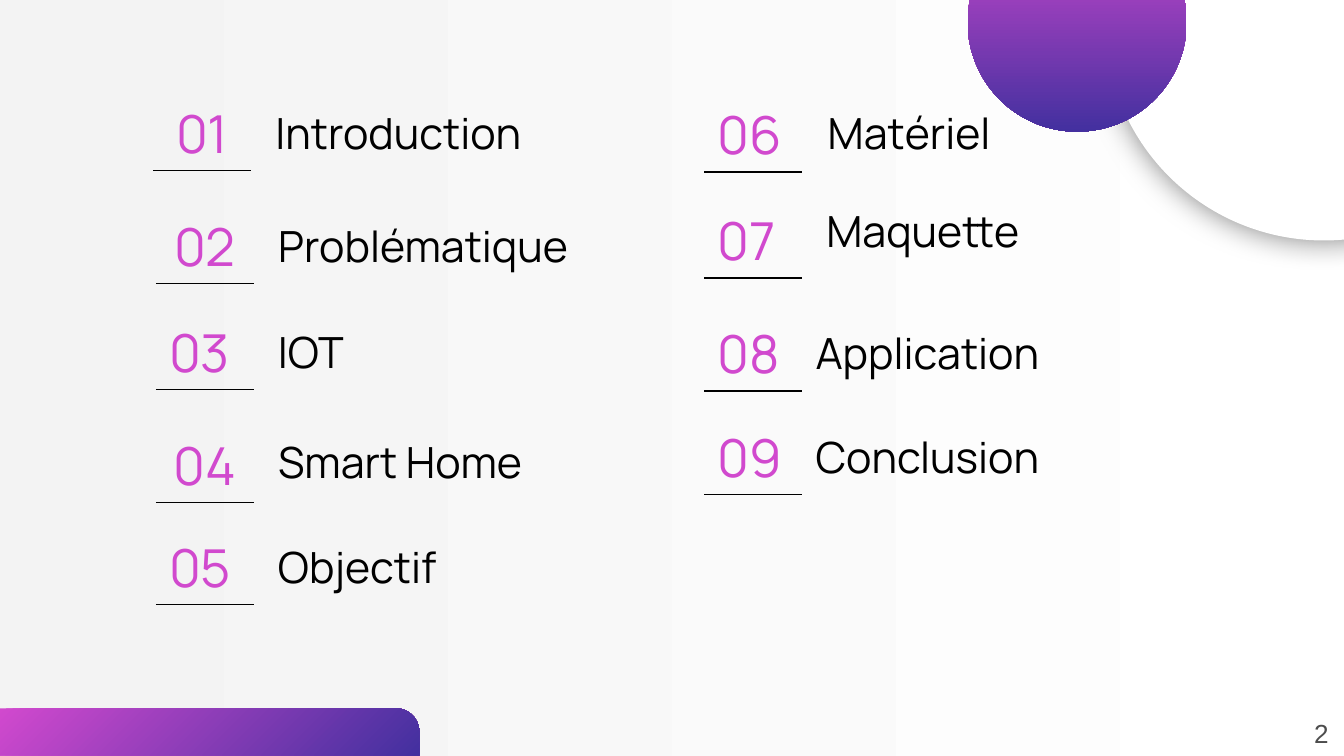
from dataclasses import dataclass

from lxml.etree import SubElement
from pptx import Presentation
from pptx.dml.color import RGBColor
from pptx.enum.shapes import MSO_CONNECTOR, MSO_SHAPE
from pptx.enum.text import MSO_ANCHOR, MSO_AUTO_SIZE, PP_ALIGN
from pptx.oxml.ns import qn
from pptx.util import Inches, Pt

PINK, VIOLET, BLACK, WHITE = "D149CE", "43309F", "000000", "FFFFFF"
NUMBER_WIDTH, ROW_HEIGHT, RULE_DROP = 0.73, 0.39, 0.48
NUMBER_FONT = {"name": "Manrope", "size": Pt(28)}
LABEL_FONT = {"name": "Manrope", "size": Pt(23)}
PAGE_FONT = {"name": "Arial", "size": Pt(14)}
FRAME = {
    "word_wrap": True,
    "auto_size": MSO_AUTO_SIZE.NONE,
    "vertical_anchor": MSO_ANCHOR.MIDDLE,
    "margin_left": Inches(0.1),
    "margin_right": Inches(0.1),
    "margin_top": Inches(0.1),
    "margin_bottom": Inches(0.1),
}
PAGE_FRAME = FRAME | {
    "vertical_anchor": MSO_ANCHOR.TOP,
    "margin_top": Inches(0.05),
    "margin_bottom": Inches(0.05),
}


@dataclass
class Entry:
    number: str
    label: str
    x: float
    y: float
    label_x: float
    label_y: float
    label_width: float
    align: PP_ALIGN = PP_ALIGN.LEFT
    is_title: bool = False


ENTRIES = [
    Entry("01", "Introduction", 1.14, 0.79, 1.95, 0.79, 2.89, PP_ALIGN.CENTER),
    Entry("02", "Problématique", 1.16, 1.63, 1.97, 1.63, 2.89, PP_ALIGN.CENTER, True),
    Entry("03", "IOT", 1.16, 2.42, 1.97, 2.42, 0.93),
    Entry("04", "Smart Home", 1.16, 3.26, 1.97, 3.24, 2.41, PP_ALIGN.CENTER),
    Entry("05", "Objectif", 1.16, 4.02, 1.97, 4.02, 1.63),
    Entry("06", "Matériel", 5.24, 0.8, 6.06, 0.79, 2.01),
    Entry("07", "Maquette", 5.24, 1.59, 6.05, 1.52, 2.01),
    Entry("08", "Application", 5.24, 2.43, 5.97, 2.43, 2.34),
    Entry("09", "Conclusion", 5.24, 3.2, 5.97, 3.2, 2.34),
]


def rgb(value: str) -> RGBColor:
    return RGBColor.from_string(value)


def apply(target, values: dict) -> None:
    for name, value in values.items():
        setattr(target, name, value)


def fill_gradient(fill, start: str, end: str, angle: float) -> None:
    fill.gradient()
    fill.gradient_angle = angle
    for stop, color, position in zip(fill.gradient_stops, (start, end), (0, 1)):
        stop.color.rgb = rgb(color)
        stop.position = position


def write(sp, text: str, font: dict, color: str, frame: dict = FRAME,
          align: PP_ALIGN = PP_ALIGN.LEFT) -> None:
    tf = sp.text_frame
    apply(tf, frame)
    p = tf.paragraphs[0]
    p.alignment = align
    r = p.add_run()
    r.text = text
    apply(r.font, font)
    r.font.color.rgb = rgb(color)


def add_shape(s, kind: MSO_SHAPE, x: float, y: float, width: float, height: float):
    sp = s.shapes.add_shape(kind, Inches(x), Inches(y), Inches(width), Inches(height))
    sp.shadow.inherit = False
    sp.line.fill.background()
    return sp


def add_glow_shadow(sp, blur: float, opacity: int) -> None:
    effects = sp._element.spPr.find(qn("a:effectLst"))
    shadow = SubElement(effects, qn("a:outerShdw"), blurRad=str(Pt(blur)), dist="0", dir="0",
                        algn="ctr", rotWithShape="0")
    color = SubElement(shadow, qn("a:srgbClr"), val=BLACK)
    SubElement(color, qn("a:alpha"), val=str(opacity * 1000))


def add_text(s, x: float, y: float, width: float, height: float = ROW_HEIGHT):
    return s.shapes.add_textbox(Inches(x), Inches(y), Inches(width), Inches(height))


def add_rule(s, x: float, y: float) -> None:
    line = s.shapes.add_connector(MSO_CONNECTOR.STRAIGHT, Inches(x), Inches(y),
                                  Inches(x + NUMBER_WIDTH), Inches(y))
    line.line.color.rgb = rgb(BLACK)
    line.line.width = Pt(0.75)
    SubElement(line._element.spPr, qn("a:effectLst"))


def add_entry(s, entry: Entry) -> None:
    number = add_text(s, entry.x, entry.y, NUMBER_WIDTH)
    write(number, entry.number, NUMBER_FONT, PINK, align=entry.align)
    add_rule(s, entry.x, entry.y + RULE_DROP)
    if entry.is_title:
        label = s.shapes.title
        apply(label, {"left": Inches(entry.label_x), "top": Inches(entry.label_y),
                      "width": Inches(entry.label_width), "height": Inches(ROW_HEIGHT)})
    else:
        label = add_text(s, entry.label_x, entry.label_y, entry.label_width)
    write(label, entry.label, LABEL_FONT, BLACK)


def main() -> None:
    prs = Presentation()
    apply(prs, {"slide_width": Inches(10), "slide_height": Inches(10) * 9 // 16})
    s = prs.slides.add_slide(prs.slide_layouts[5])
    fill_gradient(s.background.fill, WHITE, "F3F3F3", 180)

    corner = add_shape(s, MSO_SHAPE.ROUND_1_RECTANGLE, 0, 5.27, 3.12, 0.35)
    corner.adjustments[0] = 0.5
    fill_gradient(corner.fill, PINK, VIOLET, 315)

    white_circle = add_shape(s, MSO_SHAPE.OVAL, 8.22, -1.47, 3.26, 3.26)
    white_circle.fill.solid()
    white_circle.fill.fore_color.rgb = rgb(WHITE)
    add_glow_shadow(white_circle, 16.9, 50)

    violet_circle = add_shape(s, MSO_SHAPE.OVAL, 7.2, -0.65, 1.63, 1.63)
    fill_gradient(violet_circle.fill, PINK, VIOLET, 270)

    for entry in ENTRIES:
        add_entry(s, entry)

    write(add_text(s, 9.68, 5.29, 0.32, 0.34), "2", PAGE_FONT, "4D4D4D", PAGE_FRAME)
    prs.save("out.pptx")


if __name__ == "__main__":
    main()
